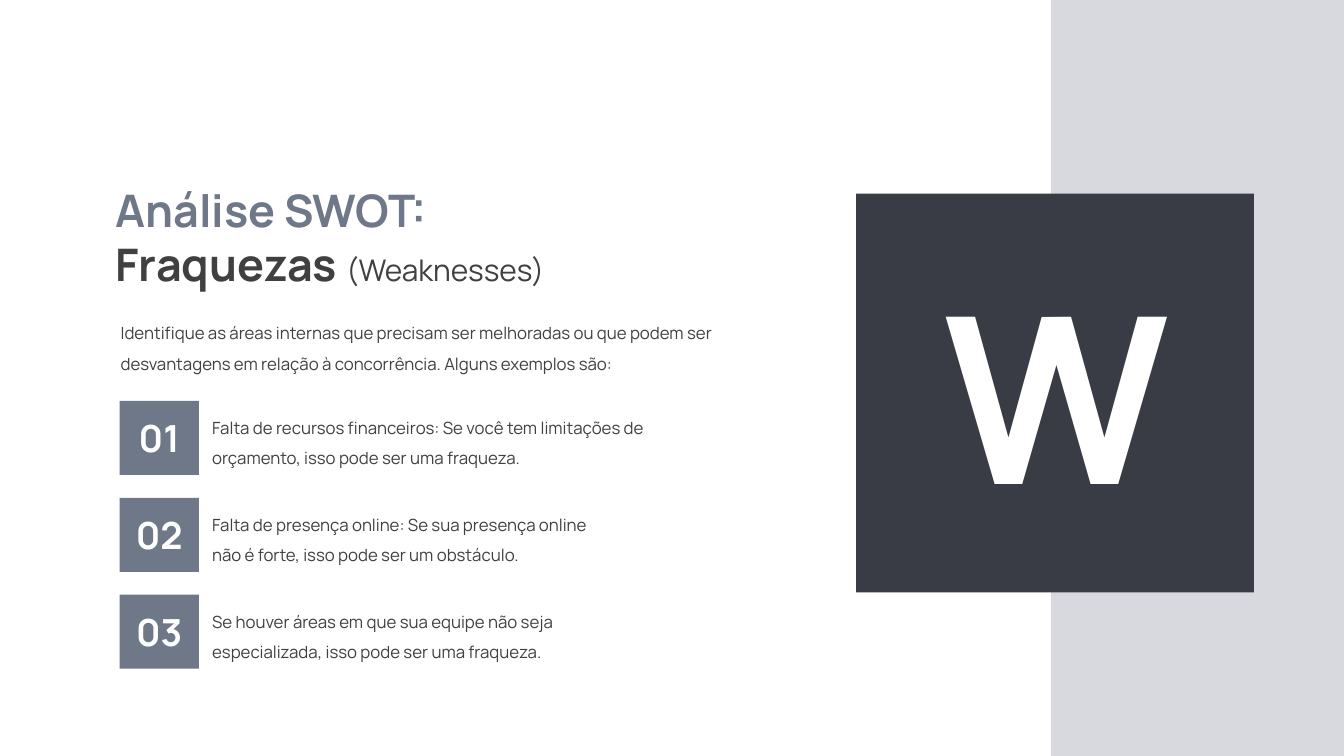
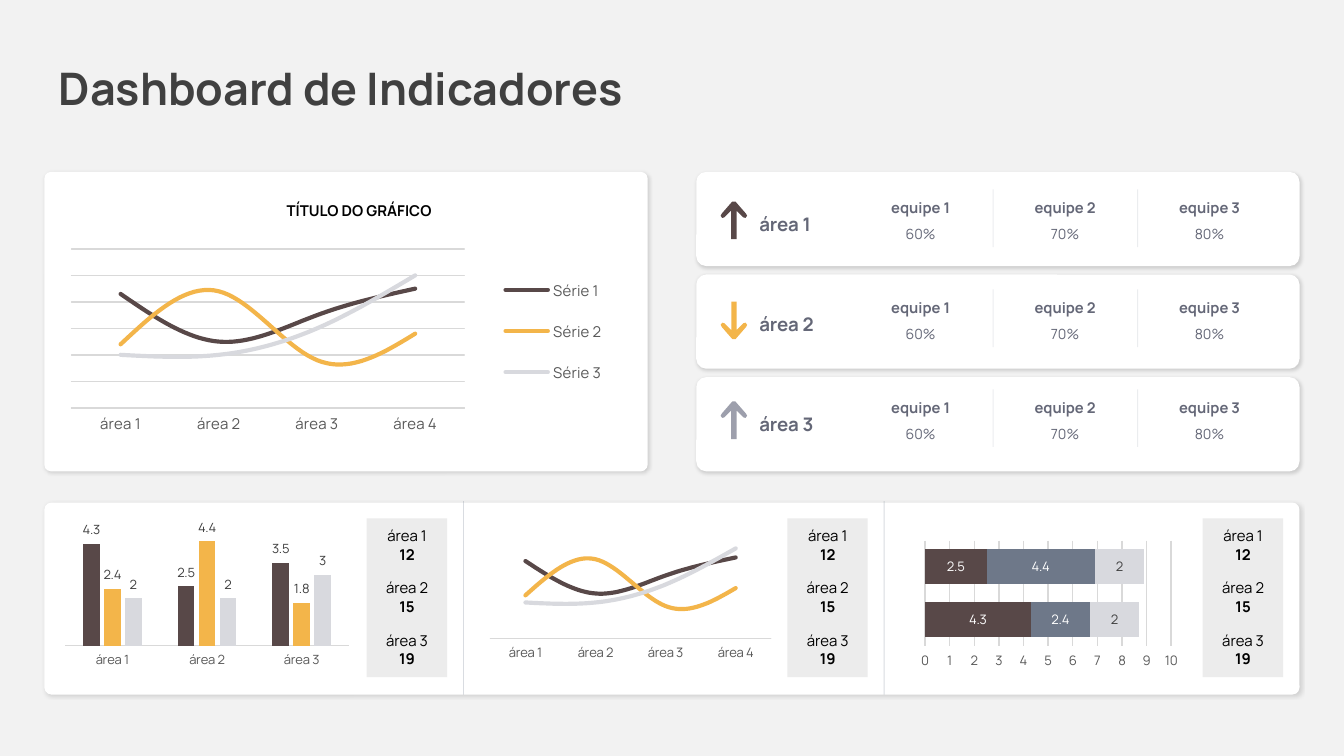
from dataclasses import dataclass
from typing import NamedTuple

from lxml import etree
from pptx import Presentation
from pptx import util as u
from pptx.chart.data import CategoryChartData
from pptx.dml.color import RGBColor
from pptx.enum import chart as ch
from pptx.enum import shapes, text
from pptx.oxml import ns

FONT = "Manrope"
COLORS = {
    "white": "FFFFFF", "paper": "F2F2F2", "black": "000000", "ink": "404040",
    "slate": "6E7889", "night": "393B45", "mist": "D8D9DE", "brown": "584848",
    "amber": "F3B54A", "silver": "9D9FAC", "label": "646777", "summary": "ECECEC",
    "rule": "44546A", "axis": "595959", "grid": "D9D9D9",
}
CENTER = text.PP_ALIGN.CENTER


class Box(NamedTuple):
    x: float
    y: float
    w: float
    h: float

    def cm(self) -> list[u.Cm]:
        return [u.Cm(v) for v in self]


@dataclass(frozen=True)
class Style:
    size: float
    color: str
    bold: bool = False
    align: text.PP_ALIGN | None = None
    spacing: float | None = None


@dataclass(frozen=True)
class AreaRow:
    name: str
    color: str
    turn: int


@dataclass(frozen=True)
class ChartSpec:
    kind: ch.XL_CHART_TYPE
    box: Box
    plot: Box
    cats: list[str]
    values: list[list[float]]
    colors: list[str]
    top: float
    unit: float
    size: float = 7
    label_colors: tuple[str, ...] = ()
    grid: bool = False
    legend: Box | None = None


TITLE = Style(24, "ink", True)
BODY = Style(9, "ink", spacing=1.5)
NUMBER = Style(20, "white", True, CENTER)
LETTER = Style(124.5, "white", True, CENTER)
CHART_TITLE = Style(8, "black", True, CENTER)
SUMMARY = Style(8, "black", align=CENTER)
SUMMARY_VALUE = Style(8, "black", True, CENTER)
AREA = Style(10, "label", True)
TEAM = Style(7.9, "label", True, CENTER)
TEAM_VALUE = Style(7.5, "label", align=CENTER)

EXAMPLES = [
    ("Falta de recursos financeiros: Se você tem limitações de orçamento, "
     "isso pode ser uma fraqueza.", 9.37),
    ("Falta de presença online: Se sua presença online não é forte, "
     "isso pode ser um obstáculo.", 8.18),
    ("Se houver áreas em que sua equipe não seja especializada, "
     "isso pode ser uma fraqueza.", 8.18),
]
ROWS = [AreaRow("área 1", "brown", 0), AreaRow("área 2", "amber", 180),
        AreaRow("área 3", "silver", 0)]
TEAMS = [("equipe 1", "60%"), ("equipe 2", "70%"), ("equipe 3", "80%")]
TOTALS = [("área 1", "12"), ("área 2", "15"), ("área 3", "19")]
AREAS = ["área 1", "área 2", "área 3", "área 4"]
TREND = [[86, 50, 70, 90], [48, 88, 36, 56], [40, 40, 60, 100]]
WARM = ["brown", "amber", "mist"]
CHARTS = [
    ChartSpec(ch.XL_CHART_TYPE.LINE, Box(0.79, 4.27, 11.25, 4.85),
              Box(0.05, 0.09, 0.66, 0.62), AREAS, TREND, WARM, 120, 20,
              size=8, grid=True, legend=Box(0.76, 0.13, 0.2, 0.56)),
    ChartSpec(ch.XL_CHART_TYPE.COLUMN_CLUSTERED, Box(1.12, 9.8, 5.49, 2.92),
              Box(0.02, 0.03, 0.98, 0.79), AREAS[:3],
              [[4.3, 2.5, 3.5], [2.4, 4.4, 1.8], [2, 2, 3]], WARM, 5, 1,
              label_colors=("ink",) * 3),
    ChartSpec(ch.XL_CHART_TYPE.LINE, Box(8.99, 9.73, 5.59, 3.3),
              Box(0.05, 0.09, 0.95, 0.62), AREAS, TREND, WARM, 120, 20),
    ChartSpec(ch.XL_CHART_TYPE.BAR_STACKED, Box(17.22, 9.91, 5.23, 2.84),
              Box(0.05, 0.11, 0.89, 0.7), ["1", "2"],
              [[4.3, 2.5], [2.4, 4.4], [2, 2]], ["brown", "slate", "mist"], 10, 1,
              label_colors=("white", "white", "ink"), grid=True),
]
ARROW_HALF = [(0.03, 0), (0.23, 0.23), (0.25, 0.27), (0.22, 0.31),
              (0.18, 0.3), (0.05, 0.17), (0.05, 0.71)]


def rgb(name: str) -> RGBColor:
    return RGBColor.from_string(COLORS[name])


def set_font(font, size: float, color: str, bold: bool = False) -> None:
    font.name, font.size, font.bold = FONT, u.Pt(size), bold
    font.color.rgb = rgb(color)


def write(p, content: str, style: Style) -> None:
    set_font(p.font, style.size, style.color, style.bold)
    p.alignment = style.align
    p.line_spacing = style.spacing
    p.add_run().text = content


def add_text(sps, box: Box, content: str, style: Style):
    tf = sps.add_textbox(*box.cm()).text_frame
    tf.word_wrap = True
    tf.auto_size = text.MSO_AUTO_SIZE.SHAPE_TO_FIT_TEXT
    write(tf.paragraphs[0], content, style)
    return tf


def paint(sp, color: str) -> None:
    sp.shadow.inherit = False
    sp.fill.solid()
    sp.fill.fore_color.rgb = rgb(color)
    sp.line.fill.background()


def add_rect(s, box: Box, color: str):
    sp = s.shapes.add_shape(shapes.MSO_SHAPE.RECTANGLE, *box.cm())
    paint(sp, color)
    return sp


def add_card(s, box: Box, radius: float) -> None:
    sp = s.shapes.add_shape(shapes.MSO_SHAPE.ROUNDED_RECTANGLE, *box.cm())
    sp.adjustments[0] = radius
    paint(sp, "white")
    effects = sp.element.spPr.find(ns.qn("a:effectLst"))
    shadow = etree.SubElement(effects, ns.qn("a:outerShdw"), blurRad="25400",
                              dist="12700", dir="2700000", algn="tl", rotWithShape="0")
    color = etree.SubElement(shadow, ns.qn("a:srgbClr"), val=COLORS["black"])
    etree.SubElement(color, ns.qn("a:alpha"), val="15000")


def add_divider(s, x: float, top: float, bottom: float, opacity: int) -> None:
    c = s.shapes.add_connector(shapes.MSO_CONNECTOR.STRAIGHT,
                               u.Cm(x), u.Cm(top), u.Cm(x), u.Cm(bottom))
    c.line.width = u.Pt(0.5)
    c.line.color.rgb = rgb("rule")
    color = next(c.element.spPr.iter(ns.qn("a:srgbClr")))
    etree.SubElement(color, ns.qn("a:alpha"), val=str(opacity * 1000))
    etree.SubElement(c.element.spPr, ns.qn("a:effectLst"))


def add_arrow(s, x: float, y: float, row: AreaRow) -> None:
    outline = ARROW_HALF + [(-dx, dy) for dx, dy in reversed(ARROW_HALF)]
    points = [(u.Cm(x + dx), u.Cm(y + dy)) for dx, dy in outline]
    fb = s.shapes.build_freeform(*points[0])
    fb.add_line_segments(points[1:], close=True)
    sp = fb.convert_to_shape()
    paint(sp, row.color)
    sp.rotation = row.turn


def make_layout(box: Box, inner: bool = False):
    layout = etree.Element(ns.qn("c:layout"))
    manual = etree.SubElement(layout, ns.qn("c:manualLayout"))
    if inner:
        etree.SubElement(manual, ns.qn("c:layoutTarget"), val="inner")
    for tag in ("xMode", "yMode"):
        etree.SubElement(manual, ns.qn(f"c:{tag}"), val="edge")
    for tag, value in zip("xywh", box):
        etree.SubElement(manual, ns.qn(f"c:{tag}"), val=str(value))
    return layout


def replace_layout(parent, layout, index: int) -> None:
    for old in parent.findall(ns.qn("c:layout")):
        parent.remove(old)
    parent.insert(index, layout)


def style_axes(chart, spec: ChartSpec, stacked: bool) -> None:
    cat, val = chart.category_axis, chart.value_axis
    val.minimum_scale, val.maximum_scale, val.major_unit = 0, spec.top, spec.unit
    val.has_major_gridlines = spec.grid
    if spec.grid:
        val.major_gridlines.format.line.color.rgb = rgb("grid")
        val.major_gridlines.format.line.width = u.Pt(0.75)
    cat.visible, val.visible = not stacked, stacked
    for axis in (cat, val):
        axis.major_tick_mark = axis.minor_tick_mark = ch.XL_TICK_MARK.NONE
        set_font(axis.tick_labels.font, spec.size, "axis")
    cat.format.line.color.rgb = rgb("grid")
    cat.format.line.width = u.Pt(0.75)
    val.format.line.fill.background()


def add_chart(s, spec: ChartSpec) -> None:
    data = CategoryChartData()
    data.categories = spec.cats
    for i, values in enumerate(spec.values, 1):
        data.add_series(f"Série {i}", values)
    chart = s.shapes.add_chart(spec.kind, *spec.box.cm(), data).chart
    chart.has_title = False
    chart.has_legend = spec.legend is not None
    set_font(chart.font, spec.size, "black")
    stacked = spec.kind == ch.XL_CHART_TYPE.BAR_STACKED
    style_axes(chart, spec, stacked)
    plot = chart.plots[0]
    plot.vary_by_categories = False
    is_line = spec.kind == ch.XL_CHART_TYPE.LINE
    if not is_line:
        plot.gap_width, plot.overlap = (50, 100) if stacked else (219, -27)
    for ser, color in zip(plot.series, spec.colors):
        if is_line:
            ser.smooth = True
            ser.format.line.width = u.Pt(2.25)
            ser.format.line.color.rgb = rgb(color)
        else:
            ser.format.fill.solid()
            ser.format.fill.fore_color.rgb = rgb(color)
    for ser, color in zip(plot.series, spec.label_colors):
        labels = ser.data_labels
        labels.show_value = True
        set_font(labels.font, 7, color)
        labels.position = (ch.XL_LABEL_POSITION.CENTER if stacked
                           else ch.XL_LABEL_POSITION.OUTSIDE_END)
    if is_line:
        for ln in chart.element.iter(ns.qn("a:ln")):
            ln.set("cap", "rnd")
    area = chart.element.find(".//" + ns.qn("c:plotArea"))
    replace_layout(area, make_layout(spec.plot, inner=True), 0)
    if spec.legend:
        chart.legend.position = ch.XL_LEGEND_POSITION.RIGHT
        chart.legend.include_in_layout = False
        set_font(chart.legend.font, spec.size, "axis")
        legend = chart.element.find(".//" + ns.qn("c:legend"))
        replace_layout(legend, make_layout(spec.legend), 1)


def add_slide(prs, background: str):
    s = prs.slides.add_slide(prs.slide_layouts[6])
    s.background.fill.solid()
    s.background.fill.fore_color.rgb = rgb(background)
    return s


def build_weaknesses(prs) -> None:
    s = add_slide(prs, "white")
    add_rect(s, Box(19.86, 0, 5.54, 14.29), "mist")
    add_text(s.shapes, Box(2.03, 5.79, 12.47, 1.35),
             "Identifique as áreas internas que precisam ser melhoradas ou que podem ser "
             "desvantagens em relação à concorrência. Alguns exemplos são:", BODY)
    tf = add_text(s.shapes, Box(1.93, 3.33, 11.2, 2.31), "Análise SWOT:",
                  Style(24, "slate", True))
    p = tf.add_paragraph()
    write(p, "Fraquezas ", TITLE)
    r = p.add_run()
    r.text = "(Weaknesses)"
    r.font.size, r.font.bold = u.Pt(16), False
    add_rect(s, Box(16.18, 3.66, 7.52, 7.54), "night")
    add_text(s.shapes, Box(17.53, 4.65, 4.88, 5.59), "W", LETTER)
    for i, (example, width) in enumerate(EXAMPLES):
        y = 7.58 + i * 1.83
        add_text(s.shapes, Box(3.76, y, width, 1.35), example, BODY)
        tf = add_rect(s, Box(2.26, y, 1.5, 1.4), "slate").text_frame
        tf.vertical_anchor = text.MSO_ANCHOR.MIDDLE
        write(tf.paragraphs[0], f"{i + 1:02}", NUMBER)


def add_summary(s, x: float) -> None:
    add_rect(s, Box(x, 9.8, 1.52, 3), "summary")
    for i, (name, total) in enumerate(TOTALS):
        y = 9.83 + i * 0.99
        add_text(s.shapes, Box(x - 0.15, y, 1.83, 0.61), name, SUMMARY)
        add_text(s.shapes, Box(x - 0.15, y + 0.35, 1.83, 0.61), total, SUMMARY_VALUE)


def add_area_row(s, y: float, row: AreaRow) -> None:
    add_arrow(s, 13.87, y + 0.23, row)
    add_text(s.shapes, Box(14.1, y + 0.31, 1.88, 0.69), row.name, AREA)
    for i, (team, share) in enumerate(TEAMS):
        x = 16.46 + i * 2.73
        g = s.shapes.add_group_shape()
        add_text(g.shapes, Box(x, y + 0.05, 1.88, 0.58), team, TEAM)
        add_text(g.shapes, Box(x, y + 0.56, 1.88, 0.58), share, TEAM_VALUE)
        if i:
            add_divider(s, x - 0.42, y, y + 1.09, 10)


def build_dashboard(prs) -> None:
    s = add_slide(prs, "paper")
    tf = add_text(s.shapes, Box(0.86, 1.02, 12.9, 1.27), "Dashboard de Indicadores", TITLE)
    tf.vertical_anchor = text.MSO_ANCHOR.MIDDLE
    add_card(s, Box(0.84, 9.5, 23.72, 3.63), 0.037)
    add_card(s, Box(0.84, 3.25, 11.4, 5.66), 0.022)
    for i, row in enumerate(ROWS):
        add_card(s, Box(13.16, 3.25 + i * 1.94, 11.4, 1.78), 0.105)
        add_area_row(s, 3.58 + i * 1.89, row)
    for x in (6.93, 14.88, 22.73):
        add_summary(s, x)
    for x in (8.76, 16.71):
        add_divider(s, x, 9.47, 13.13, 20)
    for spec in CHARTS:
        add_chart(s, spec)
    add_text(s.shapes, Box(3.12, 3.68, 7.34, 0.61), "TÍTULO DO GRÁFICO", CHART_TITLE)


def main() -> None:
    prs = Presentation()
    prs.slide_width, prs.slide_height = u.Cm(25.4), u.Cm(14.29)
    build_weaknesses(prs)
    build_dashboard(prs)
    prs.save("out.pptx")


if __name__ == "__main__":
    main()
